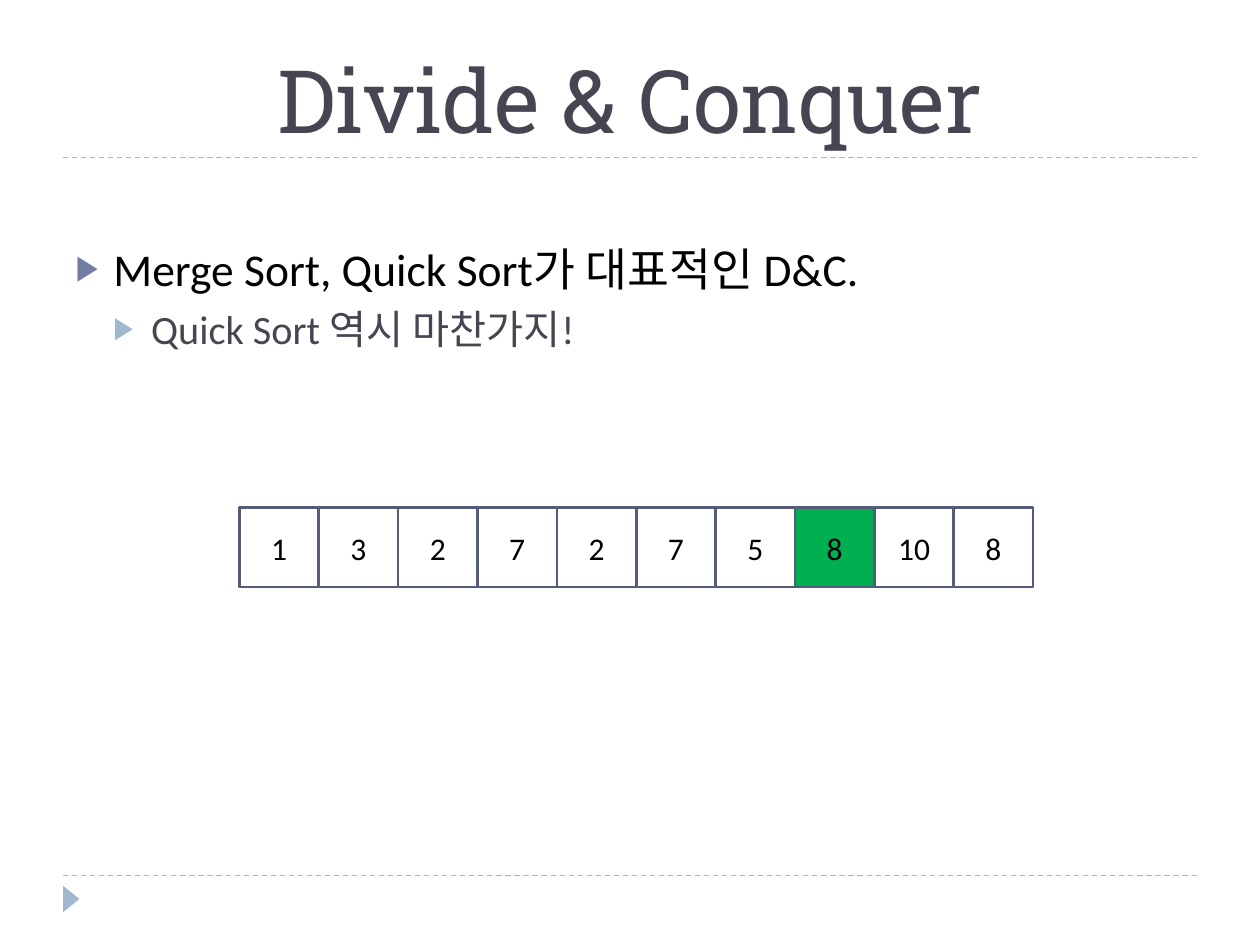
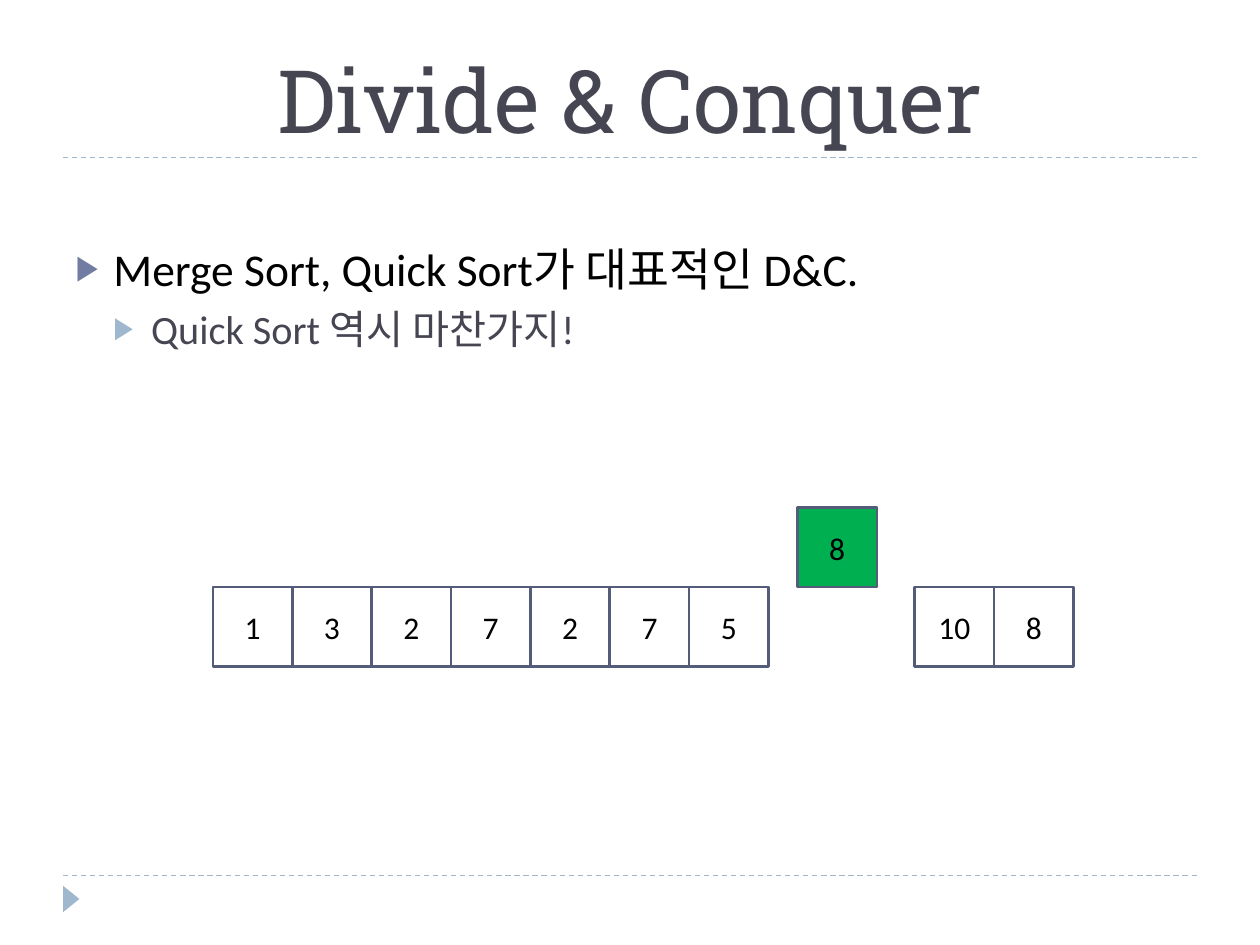
"""Build two slides that show Quick Sort splitting an array around its pivot."""
from lxml import etree
from pptx import Presentation
from pptx import util as u
from pptx.dml.color import RGBColor
from pptx.enum import dml, shapes, text
from pptx.oxml.ns import qn

TITLE = "Divide & Conquer"
TITLE_FONT, BODY_FONT = "Roboto Slab", "Calibri"
INK, BLACK, ACCENT, RULE = "464653", "000000", "727CA3", "9FB8CD"
CELL_LINE, PIVOT_FILL = "545C79", "00B050"

BULLETS = [
    dict(runs=["Merge Sort, Quick Sort", "가 대표적인 ", "D&C."],
         level=0, size=26, color=BLACK, bullet=ACCENT, before=6),
    dict(runs=["Quick Sort ", "역시 마찬가지", "!"],
         level=1, size=23, color=INK, bullet=RULE, before=5),
]
INDENT = 0.3
RULE_HEIGHTS = [6.95, 1.25]
CELL = 0.63
TOP_ROW = 4.03
LOWER_ROW = TOP_ROW + CELL

LEFT_PART = [1, 3, 2, 7, 2, 7, 5]
PIVOT = [8]
RIGHT_PART = [10, 8]
START = 1.9
PIVOT_START = START + len(LEFT_PART) * CELL

SLIDES = [
    [(LEFT_PART, START, TOP_ROW, None),
     (RIGHT_PART, PIVOT_START + CELL, TOP_ROW, None),
     (PIVOT, PIVOT_START, TOP_ROW, PIVOT_FILL)],
    [(LEFT_PART, 1.69, LOWER_ROW, None),
     (RIGHT_PART, 7.26, LOWER_ROW, None),
     (PIVOT, 6.33, TOP_ROW, PIVOT_FILL)],
]


def color(hex_string):
    return RGBColor.from_string(hex_string)


def place(shape, left, top, width, height):
    shape.left, shape.top = u.Inches(left), u.Inches(top)
    shape.width, shape.height = u.Inches(width), u.Inches(height)


def add_run(paragraph, words, font, size, hex_string):
    run = paragraph.add_run()
    run.text = words
    run.font.name = font
    run.font.size = u.Pt(size)
    run.font.color.rgb = color(hex_string)


def set_bullet(paragraph, level, hex_string):
    properties = paragraph._p.get_or_add_pPr()
    properties.set("marL", str(u.Inches(INDENT * (level + 1))))
    properties.set("indent", str(u.Inches(-INDENT)))
    bullet_color = etree.SubElement(properties, qn("a:buClr"))
    etree.SubElement(bullet_color, qn("a:srgbClr"), val=hex_string)
    etree.SubElement(properties, qn("a:buSzPct"), val="76000")
    etree.SubElement(properties, qn("a:buChar"), char="▶")


def add_frame(slide):
    for height in RULE_HEIGHTS:
        rule = slide.shapes.add_connector(
            shapes.MSO_CONNECTOR.STRAIGHT,
            u.Inches(0.5), u.Inches(height), u.Inches(9.5), u.Inches(height))
        rule.line.color.rgb = color(RULE)
        rule.line.width = u.Pt(0.75)
        rule.line.dash_style = dml.MSO_LINE.DASH
        etree.SubElement(rule._element.spPr, qn("a:effectLst"))
    marker = slide.shapes.add_shape(
        shapes.MSO_SHAPE.ISOSCELES_TRIANGLE,
        u.Inches(0.46), u.Inches(7.07), u.Inches(0.21), u.Inches(0.13))
    marker.rotation = 90
    marker.shadow.inherit = False
    marker.fill.solid()
    marker.fill.fore_color.rgb = color(RULE)
    marker.line.fill.background()


def fill_title(title):
    place(title, 0.5, 0.17, 9, 1.08)
    frame = title.text_frame
    frame.auto_size = text.MSO_AUTO_SIZE.NONE
    frame.vertical_anchor = text.MSO_ANCHOR.BOTTOM
    paragraph = frame.paragraphs[0]
    paragraph.alignment = text.PP_ALIGN.CENTER
    add_run(paragraph, TITLE, TITLE_FONT, 50, INK)


def fill_body(body):
    place(body, 0.5, 1.33, 9, 5.4)
    frame = body.text_frame
    frame.auto_size = text.MSO_AUTO_SIZE.NONE
    frame.margin_top = u.Inches(0.58)
    for index, item in enumerate(BULLETS):
        paragraph = frame.add_paragraph() if index else frame.paragraphs[0]
        paragraph.level = item["level"]
        paragraph.space_before = u.Pt(item["before"])
        set_bullet(paragraph, item["level"], item["bullet"])
        for words in item["runs"]:
            add_run(paragraph, words, BODY_FONT, item["size"], item["color"])


def add_cells(slide, values, left, top, fill):
    for index, value in enumerate(values):
        cell = slide.shapes.add_shape(
            shapes.MSO_SHAPE.RECTANGLE, u.Inches(left + index * CELL),
            u.Inches(top), u.Inches(CELL), u.Inches(CELL))
        cell.shadow.inherit = False
        if fill:
            cell.fill.solid()
            cell.fill.fore_color.rgb = color(fill)
        else:
            cell.fill.background()
        cell.line.color.rgb = color(CELL_LINE)
        cell.line.width = u.Pt(1.5)
        cell.text_frame.vertical_anchor = text.MSO_ANCHOR.MIDDLE
        paragraph = cell.text_frame.paragraphs[0]
        paragraph.alignment = text.PP_ALIGN.CENTER
        add_run(paragraph, str(value), BODY_FONT, 18, BLACK)


presentation = Presentation()
presentation.slide_width = u.Inches(10)
presentation.slide_height = u.Inches(7.5)
for groups in SLIDES:
    slide = presentation.slides.add_slide(presentation.slide_layouts[1])
    add_frame(slide)
    fill_title(slide.shapes.title)
    fill_body(slide.placeholders[1])
    for group in groups:
        add_cells(slide, *group)
presentation.save("out.pptx")
